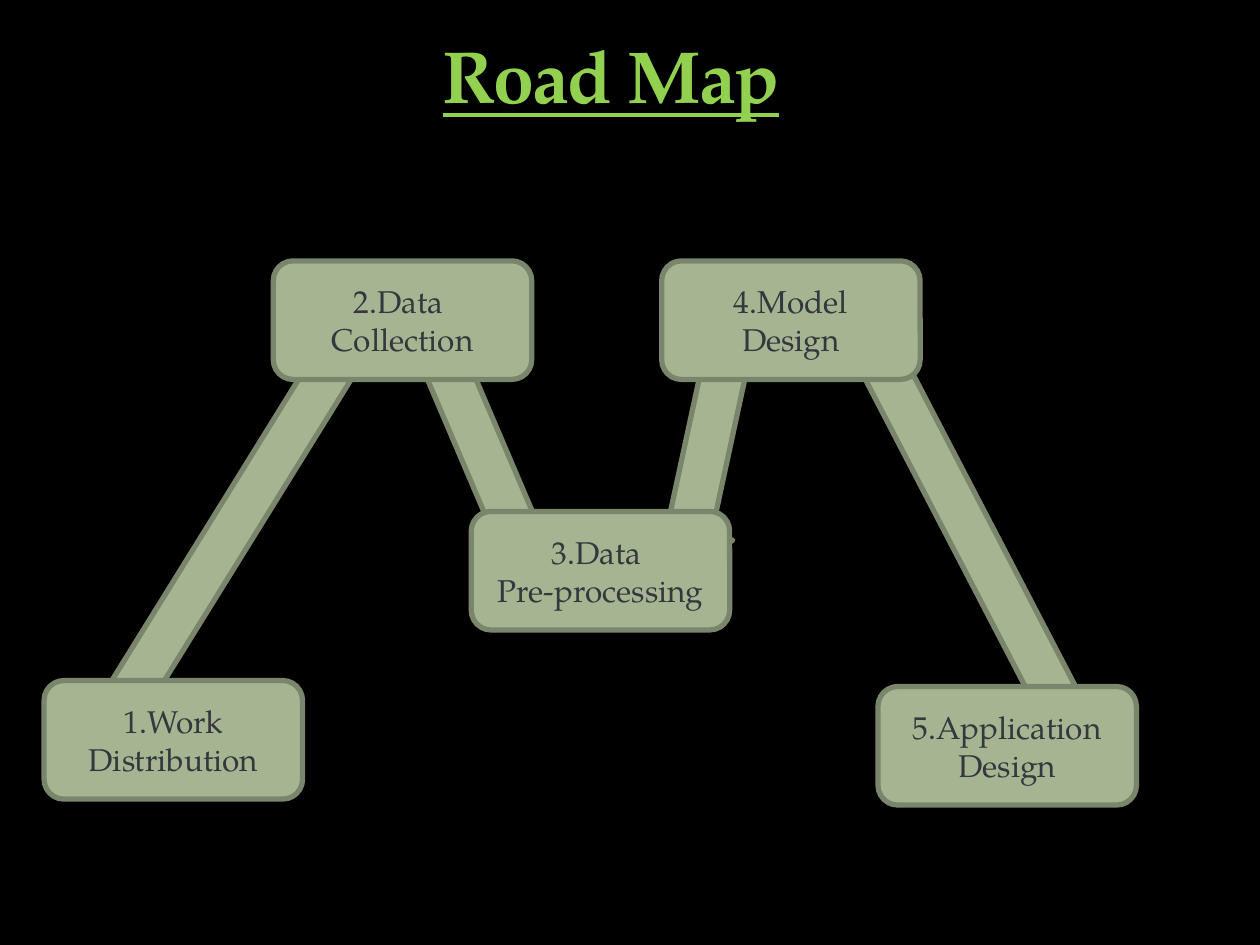
from pptx import Presentation
from pptx.dml.color import RGBColor
from pptx.enum.shapes import MSO_SHAPE
from pptx.enum.text import MSO_ANCHOR, PP_ALIGN
from pptx.util import Cm, Pt

BLACK = RGBColor(0x00, 0x00, 0x00)
SAGE = RGBColor(0xA5, 0xB5, 0x92)
DARK_SAGE = RGBColor(0x7A, 0x86, 0x6C)
CHARCOAL = RGBColor(0x36, 0x36, 0x3D)
LIME = RGBColor(0x92, 0xD0, 0x4F)
FONT = "TeX Gyre Pagella"

STEP_WIDTH, STEP_HEIGHT = 5.21, 2.39
ARROW_HEIGHT = 1.8
UPPER_ROW = 5.26

# Left, top, length (cm) and rotation (degrees)
ARROWS = [
    (15.04, 10.31, 9.53, 62.5),
    (11.79, 8.31, 4.85, 102.2),
    (0.46, 9.32, 8.99, 301.8),
    (7.54, 8.76, 4.85, 66.9),
]

# Left, top (cm) and the two lines of text
STEPS = [
    (5.51, UPPER_ROW, "2.Data ", "Collection"),
    (0.89, 13.72, "1.Work", "Distribution"),
    (9.5, 10.31, "3.Data ", "Pre-processing"),
    (13.34, UPPER_ROW, "4.Model", "Design"),
    (17.7, 13.84, "5.Application", "Design"),
]


def style_paragraph(paragraph, size, color):
    paragraph.alignment = PP_ALIGN.CENTER
    paragraph.font.name = FONT
    paragraph.font.size = Pt(size)
    paragraph.font.color.rgb = color


def add_sage_shape(slide, kind, left, top, width, height):
    shape = slide.shapes.add_shape(kind, Cm(left), Cm(top), Cm(width), Cm(height))
    shape.shadow.inherit = False
    shape.fill.solid()
    shape.fill.fore_color.rgb = SAGE
    shape.line.color.rgb = DARK_SAGE
    shape.line.width = Pt(3)
    return shape


def add_arrow(slide, left, top, length, rotation):
    arrow = add_sage_shape(slide, MSO_SHAPE.RIGHT_ARROW, left, top, length, ARROW_HEIGHT)
    arrow.rotation = rotation


def add_step(slide, left, top, *lines):
    step = add_sage_shape(
        slide, MSO_SHAPE.ROUNDED_RECTANGLE, left, top, STEP_WIDTH, STEP_HEIGHT
    )
    frame = step.text_frame
    frame.word_wrap = True
    frame.vertical_anchor = MSO_ANCHOR.MIDDLE
    frame.text = "\n".join(lines)
    for paragraph in frame.paragraphs:
        style_paragraph(paragraph, 18, CHARCOAL)


def add_title(slide, text):
    title = slide.shapes.add_textbox(Cm(0.89), Cm(0), Cm(22.86), Cm(2.39))
    frame = title.text_frame
    frame.word_wrap = True
    frame.vertical_anchor = MSO_ANCHOR.BOTTOM
    frame.margin_top = frame.margin_bottom = Cm(0)
    paragraph = frame.paragraphs[0]
    run = paragraph.add_run()
    run.text = text
    style_paragraph(paragraph, 42, LIME)
    paragraph.font.bold = True
    paragraph.font.underline = True
    # Letter spacing of -1 pt
    run._r.get_or_add_rPr().set("spc", "-100")


def main():
    presentation = Presentation()
    presentation.slide_width = Cm(25.4)
    presentation.slide_height = Cm(19.05)
    slide = presentation.slides.add_slide(presentation.slide_layouts[6])

    # Background
    slide.background.fill.solid()
    slide.background.fill.fore_color.rgb = BLACK

    # Road pieces lie behind the steps
    for arrow in ARROWS:
        add_arrow(slide, *arrow)

    add_title(slide, "Road Map")

    # Steps of the road map
    for step in STEPS:
        add_step(slide, *step)

    presentation.save("out.pptx")


if __name__ == "__main__":
    main()
